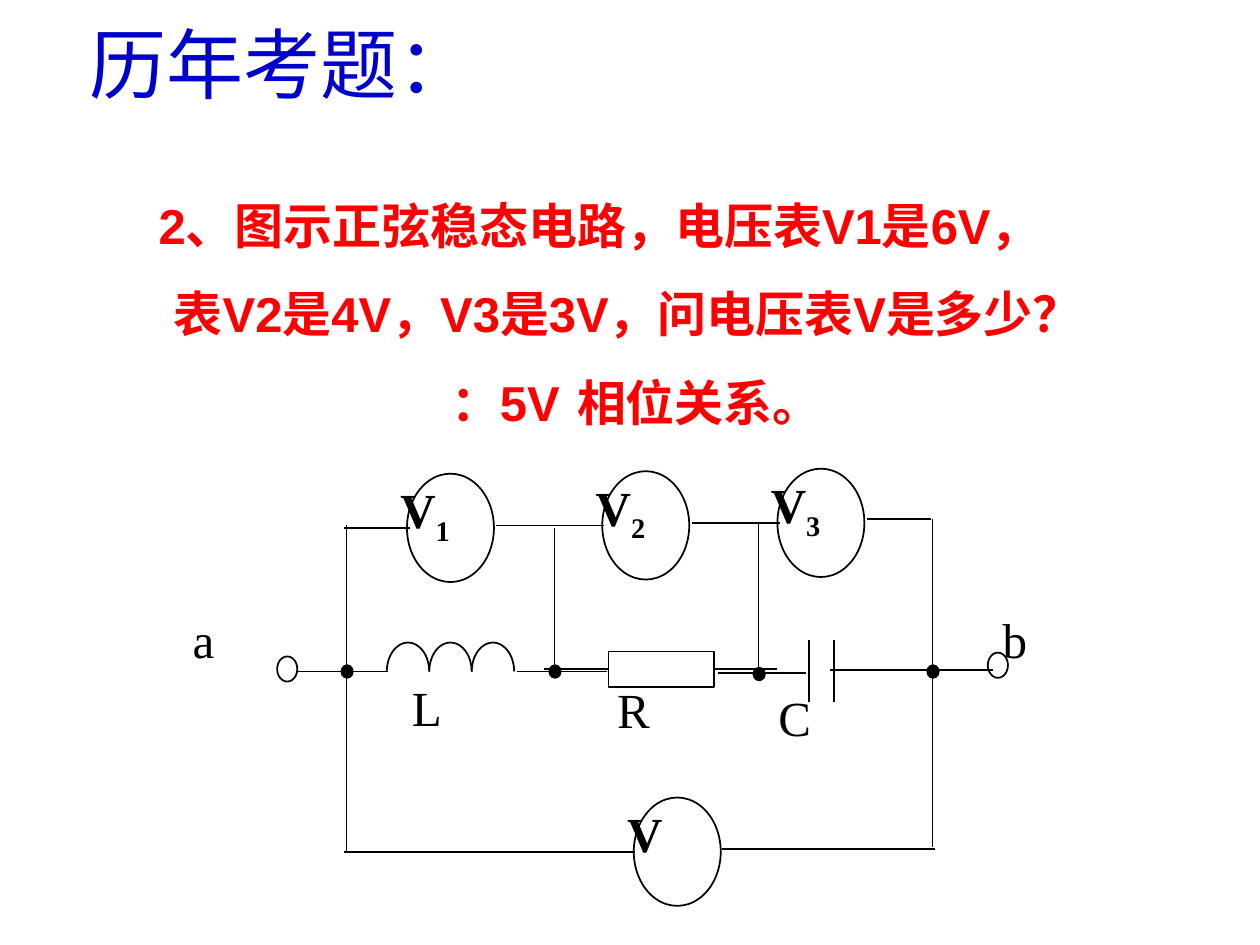
from typing import NamedTuple

from lxml.etree import SubElement
from pptx import Presentation
from pptx.dml.color import RGBColor
from pptx.enum.shapes import MSO_CONNECTOR, MSO_SHAPE
from pptx.enum.text import PP_ALIGN
from pptx.oxml.ns import qn
from pptx.util import Inches, Pt

COLORS = {"heading": "0000CC", "question": "FF0000", "ink": "000000"}
COLUMNS, ROWS = 100, 75

deck = Presentation()
deck.slide_width, deck.slide_height = Inches(10), Inches(7.5)
slide = deck.slides.add_slide(deck.slide_layouts[6])


class Wire(NamedTuple):
    x1: float
    y1: float
    x2: float
    y2: float


class Label(NamedTuple):
    text: str
    x: float
    y: float


class Meter(NamedTuple):
    subscript: str
    x: float
    y: float


class QuestionLine(NamedTuple):
    text: str
    indent: float
    tab: float = 0


def col(n: float) -> int:
    return round(deck.slide_width * n / COLUMNS)


def row(n: float) -> int:
    return round(deck.slide_height * n / ROWS)


def color(name: str) -> RGBColor:
    return RGBColor.from_string(COLORS[name])


def style_run(run, size: float, font: str, ink: str, bold: bool = False) -> None:
    run.font.size, run.font.name, run.font.bold = Pt(size), font, bold
    run.font.color.rgb = color(ink)


def draw_wire(wire: Wire):
    line = slide.shapes.add_connector(
        MSO_CONNECTOR.STRAIGHT, col(wire.x1), row(wire.y1), col(wire.x2), row(wire.y2))
    line.line.color.rgb = color("ink")
    line.line.width = Pt(1)
    SubElement(line._element.spPr, qn("a:effectLst"))
    return line


def draw_part(kind: MSO_SHAPE, x: float, y: float, w: float, h: float, filled: bool = False):
    part = slide.shapes.add_shape(kind, col(x), row(y), col(w), row(h))
    part.shadow.inherit = False
    part.line.color.rgb = color("ink")
    part.line.width = Pt(1)
    if filled:
        part.fill.solid()
        part.fill.fore_color.rgb = color("ink")
    else:
        part.fill.background()
    return part


def draw_label(label: Label, width: float = 9.2, bold: bool = False):
    frame = slide.shapes.add_textbox(col(label.x), row(label.y), col(width), row(8.9)).text_frame
    frame.word_wrap = True
    letter = frame.paragraphs[0]
    letter.text = label.text
    letter.alignment = PP_ALIGN.JUSTIFY
    style_run(letter.runs[0], 28, "Times New Roman", "ink", bold)
    return letter


def draw_meter(meter: Meter) -> None:
    draw_part(MSO_SHAPE.OVAL, meter.x, meter.y, 6.9, 8.6)
    name = draw_label(Label("V", meter.x - 1.5, meter.y), 16, True)
    if meter.subscript:
        index = name.add_run()
        index.text = meter.subscript
        style_run(index, 28, "Times New Roman", "ink", True)
        index.font._element.set("baseline", "-25000")


def draw_heading() -> None:
    frame = slide.shapes.add_textbox(col(6.1), row(0.8), col(32.6), row(8.4)).text_frame
    frame.word_wrap = False
    frame.text = "历年考题："
    style_run(frame.paragraphs[0].runs[0], 44, "Arial", "heading")


def draw_question(lines: list[QuestionLine]) -> None:
    frame = slide.shapes.add_textbox(0, row(13.2), col(100), row(21)).text_frame
    frame.word_wrap = True
    frame.margin_left = frame.margin_right = frame.margin_top = frame.margin_bottom = 0
    frame.text = "\n".join(line.text for line in lines)
    for paragraph, line in zip(frame.paragraphs, lines):
        paragraph.line_spacing = 1.5
        properties = paragraph._p.get_or_add_pPr()
        properties.set("marL", str(col(line.indent)))
        properties.set("indent", "0")
        if line.tab:
            stops = SubElement(properties, qn("a:tabLst"))
            SubElement(stops, qn("a:tab"), pos=str(col(line.tab)), algn="l")
        for run in paragraph.runs:
            style_run(run, 28, "Arial", "question", True)


QUESTION = [
    QuestionLine("2、图示正弦稳态电路，电压表V1是6V，", 12.6),
    QuestionLine("表V2是4V，V3是3V，问电压表V是多少？", 13.8),
    QuestionLine("：5V\t相位关系。", 35.8, 53.8),
]
METERS = [Meter("1", 32.3, 37.6), Meter("2", 47.8, 37.4),
          Meter("3", 61.7, 37.2), Meter("", 50.3, 63.3)]
LABELS = [Label("L", 31.7, 53.3), Label("R", 48, 53.4), Label("C", 60.8, 54.1),
          Label("a", 14.3, 47.9), Label("b", 78.6, 47.9)]
JUNCTIONS = [(27.1, 52.8), (43.6, 52.8), (59.8, 53), (73.6, 52.8)]
TERMINALS = [(22, 52.1), (78.4, 51.8)]
WIRES = [
    Wire(27.5, 67.6, 27.5, 41.7), Wire(44, 53.5, 44, 41.9),
    Wire(60.2, 53, 60.2, 41.5), Wire(74, 67.2, 74, 41.2),
    Wire(32.5, 41.9, 27.3, 41.9), Wire(47.9, 41.7, 39.4, 41.7),
    Wire(61.9, 41.5, 54.9, 41.5), Wire(73.9, 41.2, 68.8, 41.2),
    Wire(23.5, 53.3, 30.8, 53.3), Wire(41, 53.3, 48.2, 53.3),
    Wire(64, 53.4, 57, 53.4), Wire(78.8, 53.2, 65.9, 53.2),
    Wire(50.4, 67.6, 27.3, 67.6), Wire(74.2, 67.4, 57.3, 67.4),
]
CAPACITOR_PLATES = [Wire(x, 55.7, x, 50.8) for x in (64.2, 66.2)]
COIL_LEFT, COIL_TOP, TURN_WIDTH, TURN_HEIGHT = 30.7, 51, 3.37, 4.6

draw_heading()
draw_question(QUESTION)
for wire in WIRES + CAPACITOR_PLATES:
    draw_wire(wire)
for turn in range(3):
    arc = draw_part(MSO_SHAPE.ARC, COIL_LEFT + turn * TURN_WIDTH, COIL_TOP, TURN_WIDTH, TURN_HEIGHT)
    arc.adjustments[0], arc.adjustments[1] = 108, 0
resistor = draw_part(MSO_SHAPE.RECTANGLE, 48.3, 51.7, 8.4, 2.8)
draw_wire(Wire(43.2, 53.1, 48.3, 53.1)).end_connect(resistor, 1)
draw_wire(Wire(61.7, 53.1, 56.7, 53.1)).end_connect(resistor, 3)
for x, y in JUNCTIONS:
    draw_part(MSO_SHAPE.FLOWCHART_CONNECTOR, x, y, 0.9, 1, True)
for x, y in TERMINALS:
    draw_part(MSO_SHAPE.OVAL, x, y, 1.6, 2)
for meter in METERS:
    draw_meter(meter)
for label in LABELS:
    draw_label(label)

deck.save("out.pptx")
